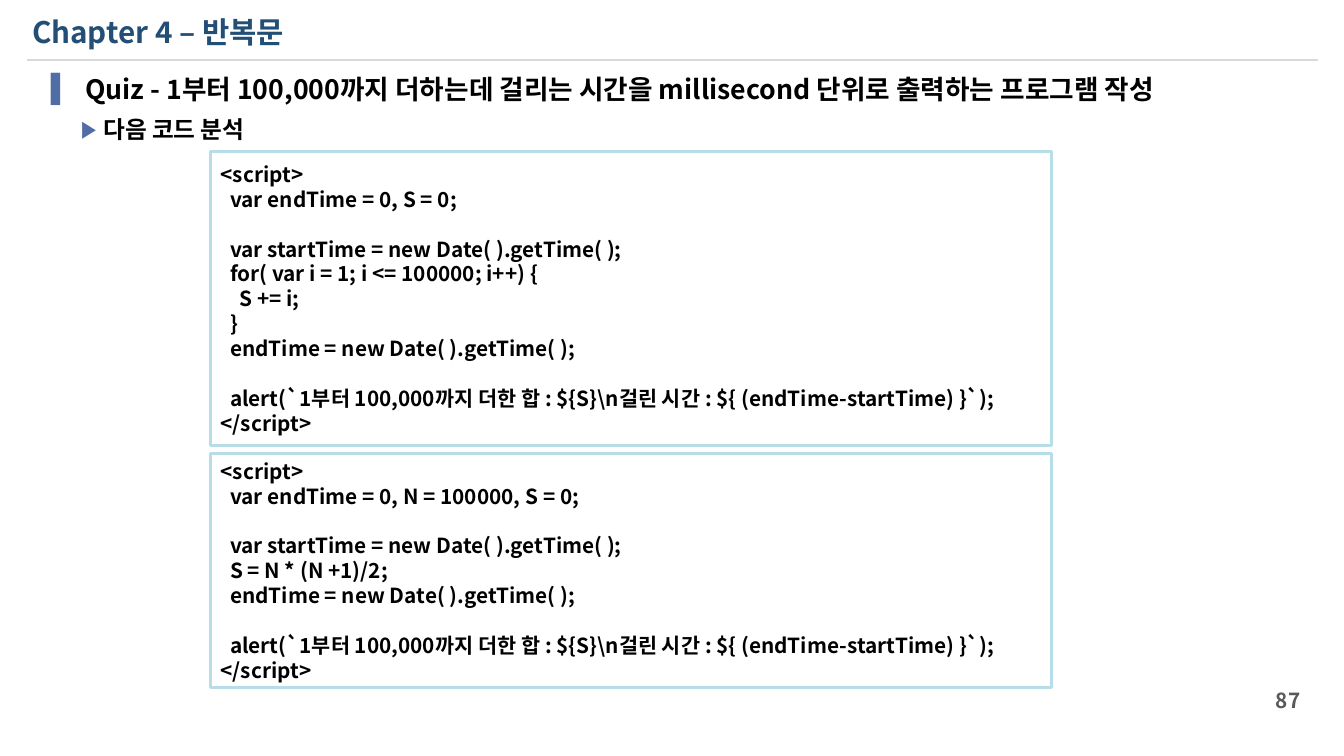
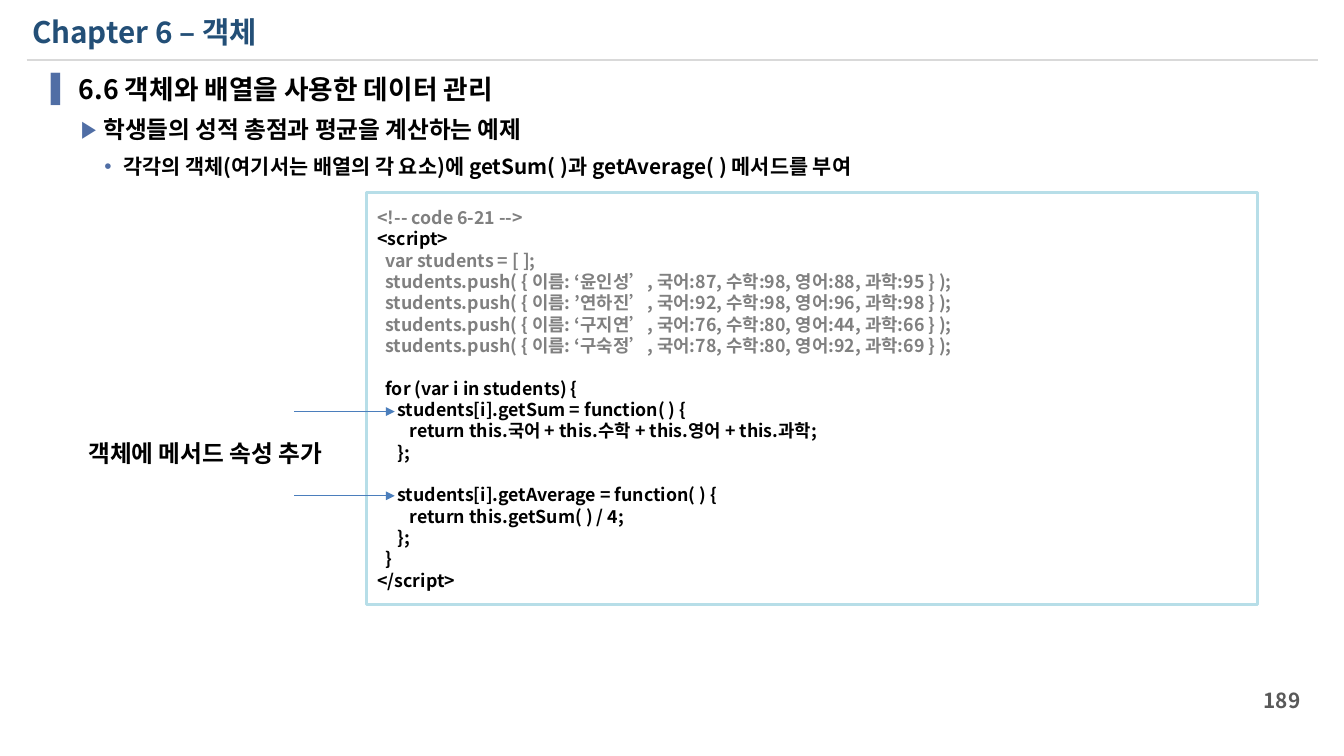
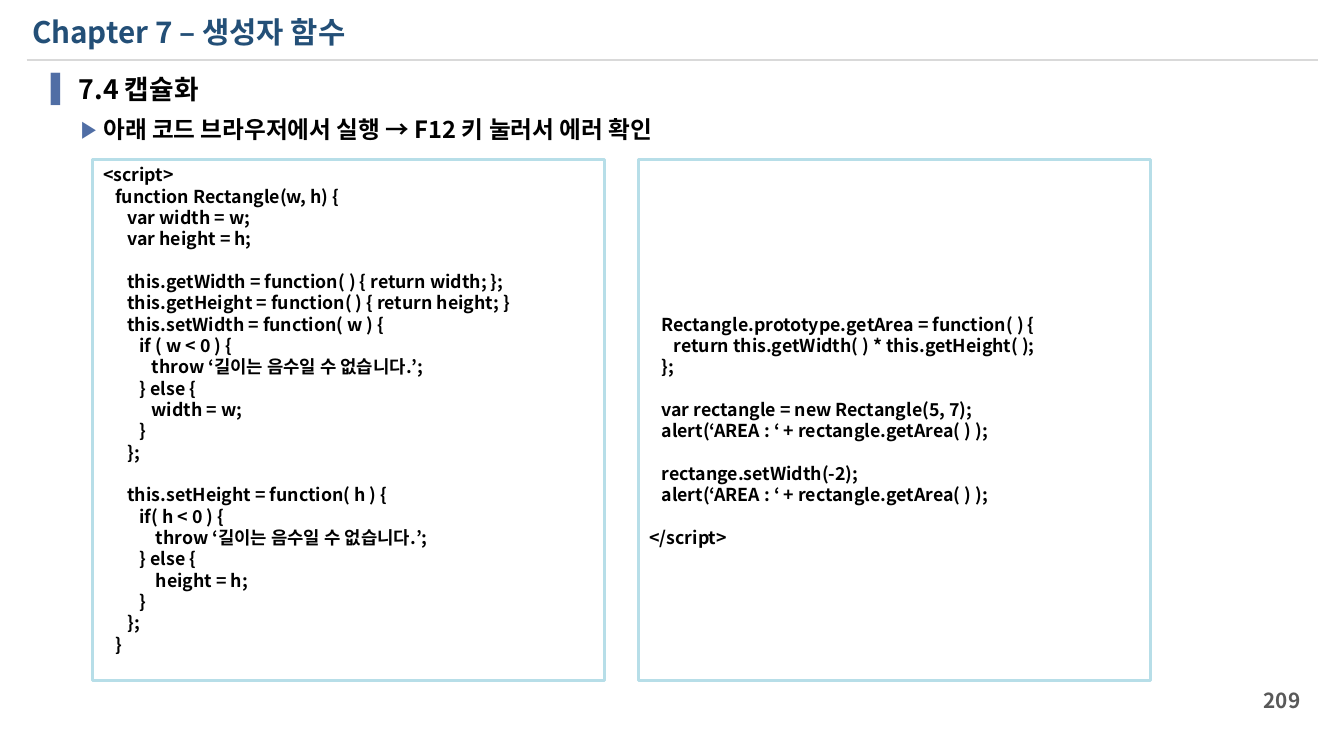
from lxml.etree import SubElement
from pptx import Presentation
from pptx.dml.color import RGBColor
from pptx.enum.shapes import MSO_CONNECTOR, MSO_SHAPE
from pptx.enum.text import MSO_ANCHOR, MSO_AUTO_SIZE, PP_ALIGN
from pptx.oxml.ns import qn
from pptx.util import Inches, Pt

WIDE, HIGH = 12.6, 7.09
FONT = "Noto Sans CJK KR"
BLACK, NAVY, GRAY, DIM = "000000", "234F77", "595959", "808080"
RULE, FRAME, MARK, ARROW = "D9D9D9", "B7DEE8", "506EA5", "4B7EBC"
LEADING = 1.2
INSET = 0.05
# bullet, text size, left margin, hanging indent
LEVELS = [("▐", 18, 0.35, 0.35), ("▶", 16, 0.58, 0.21), ("•", 14, 0.77, 0.18)]

LOOP = r"""<script>
  var endTime = 0, S = 0;

  var startTime = new Date( ).getTime( );
  for( var i = 1; i <= 100000; i++) {
    S += i;
  }
  endTime = new Date( ).getTime( );

  alert(`1부터 100,000까지 더한 합 : ${S}\n걸린 시간 : ${ (endTime-startTime) }`);
</script>"""

FORMULA = r"""<script>
  var endTime = 0, N = 100000, S = 0;

  var startTime = new Date( ).getTime( );
  S = N * (N +1)/2;
  endTime = new Date( ).getTime( );

  alert(`1부터 100,000까지 더한 합 : ${S}\n걸린 시간 : ${ (endTime-startTime) }`);
</script>"""

STUDENTS = """<!-- code 6-21 -->
<script>
  var students = [ ];
  students.push( { 이름: ‘윤인성’, 국어:87, 수학:98, 영어:88, 과학:95 } );
  students.push( { 이름: ’연하진’, 국어:92, 수학:98, 영어:96, 과학:98 } );
  students.push( { 이름: ‘구지연’, 국어:76, 수학:80, 영어:44, 과학:66 } );
  students.push( { 이름: ‘구숙정’, 국어:78, 수학:80, 영어:92, 과학:69 } );

  for (var i in students) {
     students[i].getSum = function( ) {
        return this.국어 + this.수학 + this.영어 + this.과학;
     };

     students[i].getAverage = function( ) {
        return this.getSum( ) / 4;
     };
  }
</script>"""

CLASS = """<script>
   function Rectangle(w, h) {
      var width = w;
      var height = h;

      this.getWidth = function( ) { return width; };
      this.getHeight = function( ) { return height; }
      this.setWidth = function( w ) {
         if ( w < 0 ) {
            throw ‘길이는 음수일 수 없습니다.’;
         } else {
            width = w;
         }
      };

      this.setHeight = function( h ) {
         if( h < 0 ) {
             throw ‘길이는 음수일 수 없습니다.’;
         } else {
             height = h;
         }
      };
   }
"""

USAGE = """
   Rectangle.prototype.getArea = function( ) {
      return this.getWidth( ) * this.getHeight( );
   };

   var rectangle = new Rectangle(5, 7);
   alert(‘AREA : ‘ + rectangle.getArea( ) );

   rectange.setWidth(-2);
   alert(‘AREA : ‘ + rectangle.getArea( ) );

</script>"""

# code: text, size, place, numbers of the dimmed lines
SLIDES = [
    {"title": "Chapter 4 – 반복문", "page": "87", "shift": 0.06,
     "points": ["Quiz - 1부터 100,000까지 더하는데 걸리는 시간을 millisecond 단위로 출력하는 프로그램 작성",
                "다음 코드 분석"],
     "code": [(LOOP, 14, (1.97, 1.42, 7.89, 2.76), ()),
              (FORMULA, 14, (1.97, 4.25, 7.89, 2.2), ())]},
    {"title": "Chapter 6 – 객체", "page": "189",
     "points": ["6.6 객체와 배열을 사용한 데이터 관리",
                "학생들의 성적 총점과 평균을 계산하는 예제",
                "각각의 객체(여기서는 배열의 각 요소)에 getSum( )과 getAverage( ) 메서드를 부여"],
     "code": [(STUDENTS, 12, (3.44, 1.81, 8.35, 3.86), (0, 2, 3, 4, 5, 6))],
     "arrows": [3.86, 4.65],
     "label": ("객체에 메서드 속성 추가", (0.73, 4.07, 2.67, 0.37))},
    {"title": "Chapter 7 – 생성자 함수", "page": "209",
     "points": ["7.4 캡슐화", "아래 코드 브라우저에서 실행 → F12 키 눌러서 에러 확인"],
     "code": [(text, 12, (left, 1.5, 4.8, 4.88), ())
              for text, left in ((CLASS, 0.87), (USAGE, 5.99))]},
]


def color(code):
    return RGBColor.from_string(code)


def place(box):
    return [Inches(v) for v in box]


def write(para, text, size, tint=BLACK):
    """Add one bold run on a fixed line pitch."""
    para.line_spacing = Pt(size * LEADING)
    run = para.add_run()
    run.text = text
    font = run.font
    font.size, font.bold, font.name = Pt(size), True, FONT
    font.color.rgb = color(tint)
    SubElement(font._element, qn("a:ea"), typeface=FONT)


def paras(frame):
    """Yield the first paragraph, then new ones."""
    yield frame.paragraphs[0]
    while True:
        yield frame.add_paragraph()


def add_text(slide, box, wrap=True):
    frame = slide.shapes.add_textbox(*place(box)).text_frame
    frame.word_wrap = wrap
    return frame


def add_line(slide, start, end, tint, width, arrow=False):
    line = slide.shapes.add_connector(MSO_CONNECTOR.STRAIGHT, *place(start + end))
    line.line.color.rgb = color(tint)
    line.line.width = Pt(width)
    if arrow:
        SubElement(line.line._get_or_add_ln(), qn("a:tailEnd"), type="triangle")
    SubElement(line.element.spPr, qn("a:effectLst"))
    return line


def add_title(slide, text):
    title = slide.shapes.title
    title.left, title.top, title.width, title.height = place((0.2, 0.08, 11.86, 0.44))
    frame = title.text_frame
    frame.auto_size = MSO_AUTO_SIZE.NONE
    frame.vertical_anchor = MSO_ANCHOR.MIDDLE
    para = frame.paragraphs[0]
    para.alignment = PP_ALIGN.LEFT
    write(para, text, 20, NAVY)


def add_page(slide, text):
    frame = add_text(slide, (11.35, 6.38, 0.94, 0.38))
    frame.vertical_anchor = MSO_ANCHOR.MIDDLE
    para = frame.paragraphs[0]
    para.alignment = PP_ALIGN.RIGHT
    write(para, text, 14, GRAY)


def add_points(slide, points, shift):
    """Add one bullet per level; shift widens the first indent."""
    frame = add_text(slide, (0.29, 0.63, 12.01, 1.91))
    for level, (text, para) in enumerate(zip(points, paras(frame))):
        sign, size, left, hang = LEVELS[level]
        extra = 0 if level else shift
        props = para._p.get_or_add_pPr()
        props.set("marL", str(Inches(left + extra)))
        props.set("indent", str(-Inches(hang + extra)))
        tint = SubElement(props, qn("a:buClr"))
        SubElement(tint, qn("a:srgbClr"), val=MARK)
        SubElement(props, qn("a:buFont"), typeface="Arial")
        SubElement(props, qn("a:buChar"), char=sign)
        para.level = level
        if level:
            para.space_before = Pt(7)
        write(para, text, size)


def add_code(slide, code, size, box, dim):
    """Add a framed listing; empty lines become spacing or inset."""
    shape = slide.shapes.add_shape(MSO_SHAPE.RECTANGLE, *place(box))
    shape.shadow.inherit = False
    shape.fill.background()
    shape.line.color.rgb = color(FRAME)
    shape.line.width = Pt(2)
    frame = shape.text_frame
    frame.word_wrap = True
    frame.vertical_anchor = MSO_ANCHOR.MIDDLE
    pitch = size * LEADING
    new, gap, first = paras(frame), 0, True
    frame.margin_top = Inches(INSET)
    for row, text in enumerate(code.split("\n")):
        if not text:
            gap += 1
            continue
        para = next(new)
        para.alignment = PP_ALIGN.LEFT
        if first:
            frame.margin_top = Inches(INSET) + Pt(gap * pitch)
        elif gap:
            para.space_before = Pt(gap * pitch)
        write(para, text, size, DIM if row in dim else BLACK)
        gap, first = 0, False
    frame.margin_bottom = Inches(INSET) + Pt(gap * pitch)


def main():
    deck = Presentation()
    deck.slide_width, deck.slide_height = place((WIDE, HIGH))
    layout = deck.slide_layouts[5]
    for number, data in enumerate(SLIDES):
        slide = deck.slides.add_slide(layout)
        if number == 0:
            rule = add_line(slide, (0.25, 0.56), (12.36, 0.56), RULE, 1.5)
            layout.shapes.element.append(rule.element)
        add_title(slide, data["title"])
        add_page(slide, data["page"])
        add_points(slide, data["points"], data.get("shift", 0))
        for part in data["code"]:
            add_code(slide, *part)
        for y in data.get("arrows", ()):
            add_line(slide, (2.76, y), (3.7, y), ARROW, 0.75, arrow=True)
        if "label" in data:
            text, box = data["label"]
            write(add_text(slide, box, wrap=False).paragraphs[0], text, 16)
    deck.save("out.pptx")


if __name__ == "__main__":
    main()
